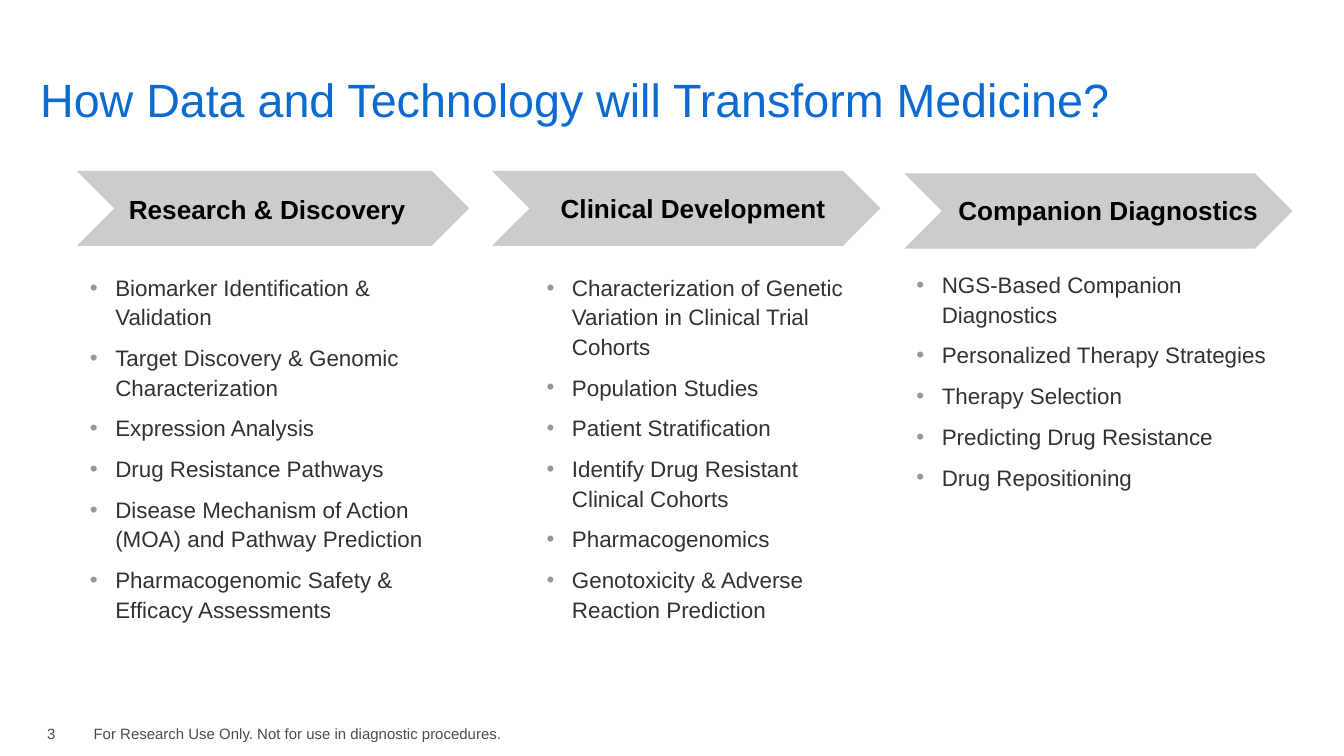
"""Build the slide on how data and technology will transform medicine."""
from dataclasses import dataclass

from lxml.etree import SubElement
from pptx import Presentation
from pptx.dml.color import RGBColor
from pptx.enum.shapes import MSO_SHAPE as Preset
from pptx.enum.text import MSO_ANCHOR as Anchor, PP_ALIGN as Align
from pptx.oxml.ns import qn
from pptx.util import Cm, Pt

SIDES = ("margin_left", "margin_top", "margin_right", "margin_bottom")
DEFAULT_INSETS = (0.25, 0.13, 0.25, 0.13)
LABEL_INSETS = (0.18, 0.13, 0.05, 0.13)
NO_INSETS = (0, 0, 0, 0)
INDENT = Cm(0.48)


@dataclass(frozen=True)
class Box:
    left: float
    top: float
    width: float
    height: float

    def lengths(self) -> list[Cm]:
        return [Cm(v) for v in (self.left, self.top, self.width, self.height)]


@dataclass(frozen=True)
class Stage:
    heading: str
    chevron: Box
    label: Box
    listing: Box
    topics: tuple[str, ...]


STAGES = (
    Stage(
        "Research & Discovery",
        Box(1.45, 3.23, 7.42, 1.42),
        Box(1.95, 3.59, 6.07, 0.74),
        Box(1.45, 5, 7.42, 6.96),
        (
            "Biomarker Identification & Validation",
            "Target Discovery & Genomic Characterization",
            "Expression Analysis",
            "Drug Resistance Pathways",
            "Disease Mechanism of Action (MOA) and Pathway Prediction",
            "Pharmacogenomic Safety & Efficacy Assessments",
        ),
    ),
    Stage(
        "Clinical Development",
        Box(9.3, 3.23, 7.34, 1.42),
        Box(9.63, 3.56, 6.81, 0.74),
        Box(10.08, 5, 6.32, 6.96),
        (
            "Characterization of Genetic Variation in Clinical Trial Cohorts",
            "Population Studies",
            "Patient Stratification",
            "Identify Drug Resistant Clinical Cohorts",
            "Pharmacogenomics",
            "Genotoxicity & Adverse Reaction Prediction",
        ),
    ),
    Stage(
        "Companion Diagnostics",
        Box(17.09, 3.28, 7.34, 1.42),
        Box(17.5, 3.61, 6.76, 0.74),
        Box(17.07, 4.95, 7.32, 4.5),
        (
            "NGS-Based Companion Diagnostics",
            "Personalized Therapy Strategies",
            "Therapy Selection",
            "Predicting Drug Resistance",
            "Drug Repositioning",
        ),
    ),
)


def colour(value: str) -> RGBColor:
    return RGBColor.from_string(value)


def apply(target, values: dict) -> None:
    for name, value in values.items():
        setattr(target, name, value)


def add_bullet(paragraph) -> None:
    properties = paragraph._p.get_or_add_pPr()
    properties.set("marL", str(INDENT))
    properties.set("indent", str(-INDENT))
    tint = SubElement(properties, qn("a:buClr"))
    SubElement(tint, qn("a:srgbClr"), val="969696")
    SubElement(properties, qn("a:buFont"), typeface="Arial")
    SubElement(properties, qn("a:buChar"), char="•")
    apply(paragraph, {"line_spacing": 1.1, "space_after": Pt(6)})


def add_text(slide, box: Box, lines: tuple[str, ...], size: float, ink: str,
             insets: tuple = DEFAULT_INSETS, anchor=Anchor.TOP,
             align=Align.LEFT, bold: bool = False, bulleted: bool = False) -> None:
    frame = slide.shapes.add_textbox(*box.lengths()).text_frame
    apply(frame, {"word_wrap": True, "vertical_anchor": anchor})
    apply(frame, {side: Cm(inset) for side, inset in zip(SIDES, insets)})
    for index, line in enumerate(lines):
        paragraph = frame.add_paragraph() if index else frame.paragraphs[0]
        if bulleted:
            add_bullet(paragraph)
        paragraph.alignment = align
        run = paragraph.add_run()
        run.text = line
        apply(run.font, {"name": "Arial", "size": Pt(size), "bold": bold})
        run.font.color.rgb = colour(ink)


def add_chevron(slide, box: Box) -> None:
    chevron = slide.shapes.add_shape(Preset.CHEVRON, *box.lengths())
    chevron.shadow.inherit = False
    chevron.fill.solid()
    chevron.fill.fore_color.rgb = colour("CCCCCC")
    chevron.line.fill.background()


def add_stage(slide, stage: Stage) -> None:
    add_text(slide, stage.listing, stage.topics, 12, "323232", bulleted=True)
    add_chevron(slide, stage.chevron)
    add_text(slide, stage.label, (stage.heading,), 14, "000000", LABEL_INSETS,
             Anchor.MIDDLE, Align.CENTER, bold=True)


def main() -> None:
    deck = Presentation()
    apply(deck, {"slide_width": Cm(25.4), "slide_height": Cm(14.29)})
    slide = deck.slides.add_slide(deck.slide_layouts[6])
    add_text(slide, Box(1.52, 13.56, 8.43, 0.61),
             ("For Research Use Only. Not for use in diagnostic procedures.",), 8, "4B4B4B")
    add_text(slide, Box(0.76, 0.84, 23.85, 1.55),
             ("How Data and Technology will Transform Medicine?",), 25, "0C6BD1",
             NO_INSETS, Anchor.BOTTOM)
    add_text(slide, Box(0.89, 13.49, 0.86, 0.76), ("3",), 8, "4B4B4B",
             NO_INSETS, Anchor.MIDDLE)
    for stage in STAGES:
        add_stage(slide, stage)
    deck.save("out.pptx")


if __name__ == "__main__":
    main()
